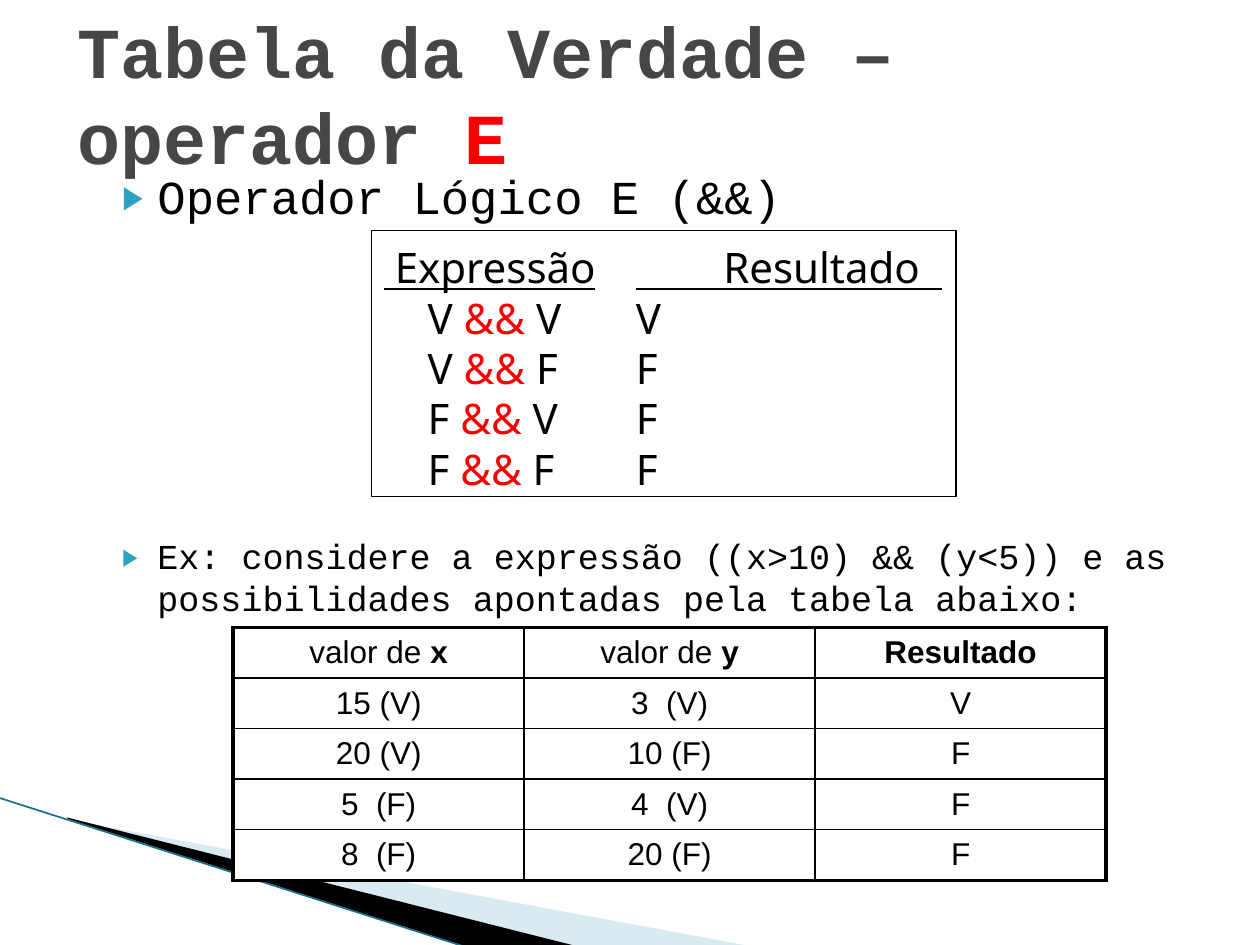
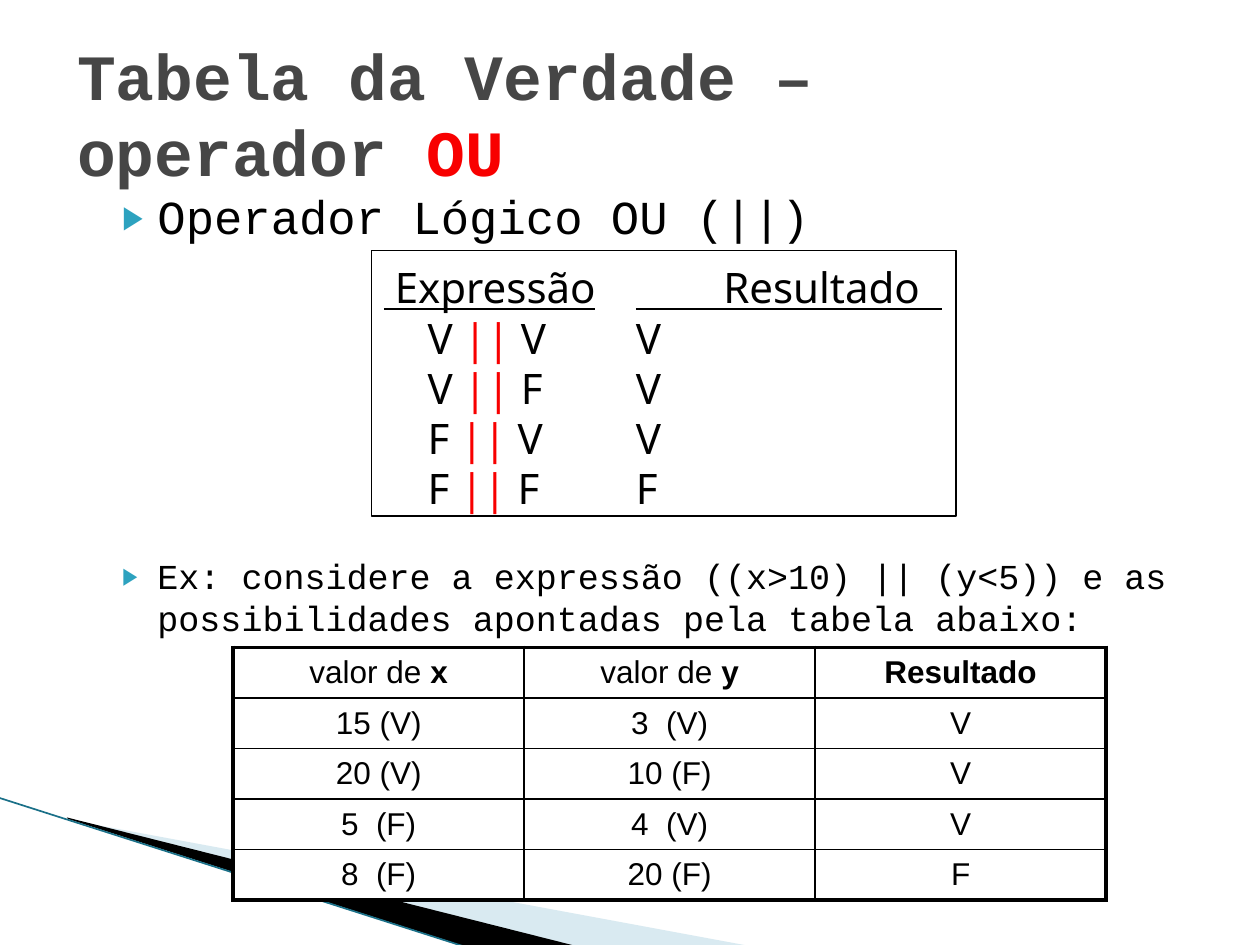
from lxml import etree
from pptx import Presentation
from pptx.dml.color import RGBColor
from pptx.enum import shapes, text
from pptx.oxml import ns
from pptx.util import Cm, Pt

BLACK = RGBColor(0x00, 0x00, 0x00)
WHITE = RGBColor(0xFF, 0xFF, 0xFF)
RED = RGBColor(0xF8, 0x00, 0x00)
TITLE_GREY = RGBColor(0x46, 0x46, 0x46)
BULLET_BLUE = RGBColor(0x2D, 0xA2, 0xBF)
PALE_BLUE = RGBColor(0xA0, 0xCB, 0xDC)
TEAL = RGBColor(0x1A, 0x70, 0x88)

CODE_FONT = "Courier New"
BOX_FONT = "Noto Sans"
TABLE_FONT = "Arial"
THIN, THICK = Pt(1), Pt(2.25)

# Corner wedges: outline in cm, colour, opacity in thousandths of a percent
WEDGES = [
    ([(1.4, 16.53), (15.11, 19.07), (11.58, 19.07), (1.4, 16.51)], PALE_BLUE, 40000),
    ([(1.35, 16.48), (11.61, 19.07), (9.45, 19.1), (1.37, 16.51)], BLACK, 100000),
]

OPERANDS = [("V", "V"), ("V", "F"), ("F", "V"), ("F", "F")]
EXAMPLES = [("15 (V)", "3  (V)"), ("20 (V)", "10 (F)"),
            ("5  (F)", "4  (V)"), ("8  (F)", "20 (F)")]
HEADINGS = [[("valor de ", False), ("x", True)],
            [("valor de ", False), ("y", True)],
            [("Resultado", True)]]

# Name, symbol, results, title size, title width, downward shift of the content
OPERATORS = [
    ("E", "&&", "VFFF", 41, 23.19, 0),
    ("OU", "||", "VVVF", 36.9, 22.4, 0.4),
]


def add_run(paragraph, words, font, size, color=BLACK, bold=False, underline=False):
    run = paragraph.add_run()
    run.text = words
    run.font.name = font
    run.font.size = Pt(size)
    run.font.color.rgb = color
    run.font.bold = bold
    run.font.underline = underline


def add_xml(parent, tag, **attributes):
    return etree.SubElement(parent, ns.qn(tag), attributes)


presentation = Presentation()
presentation.slide_width = Cm(25.4)
presentation.slide_height = Cm(19.05)

for name, symbol, results, title_size, title_width, shift in OPERATORS:
    slide = presentation.slides.add_slide(presentation.slide_layouts[1])

    # Corner decoration
    for outline, color, opacity in WEDGES:
        points = [(Cm(x), Cm(y)) for x, y in outline]
        builder = slide.shapes.build_freeform(*points[0])
        builder.add_line_segments(points[1:], close=True)
        wedge = builder.convert_to_shape()
        wedge.shadow.inherit = False
        wedge.line.fill.background()
        wedge.fill.solid()
        wedge.fill.fore_color.rgb = color
        color_node = wedge.element.spPr.find(".//" + ns.qn("a:srgbClr"))
        add_xml(color_node, "a:alpha", val=str(opacity))
    edge = slide.shapes.add_connector(
        shapes.MSO_CONNECTOR.STRAIGHT, Cm(-0.03), Cm(16.08), Cm(9.42), Cm(19.1))
    edge.line.color.rgb = TEAL
    edge.line.width = Pt(0.95)
    add_xml(edge.element.spPr, "a:effectLst")

    # Title
    title = slide.shapes.title
    title.left, title.top = Cm(1.3), Cm(0.56 + shift)
    title.width, title.height = Cm(title_width), Cm(2.16)
    frame = title.text_frame
    frame.auto_size = text.MSO_AUTO_SIZE.NONE
    frame.vertical_anchor = text.MSO_ANCHOR.MIDDLE
    frame.margin_top = Cm(0.6)
    frame.margin_right = Cm(0.5)
    paragraph = frame.paragraphs[0]
    paragraph.alignment = text.PP_ALIGN.LEFT
    paragraph.line_spacing = Pt(round(title_size * 1.2))
    add_run(paragraph, "Tabela da Verdade – operador ", CODE_FONT, title_size, TITLE_GREY, True)
    add_run(paragraph, name, CODE_FONT, title_size, RED, True)

    # Bulleted list, with room for the box between its two items
    body = slide.placeholders[1]
    body.left, body.top = Cm(1.9), Cm(3.25 + shift)
    body.width, body.height = Cm(22.81), Cm(12.57)
    frame = body.text_frame
    frame.auto_size = text.MSO_AUTO_SIZE.NONE
    items = [
        (f"Operador Lógico {name} ({symbol})", 27, 4),
        (f"Ex: considere a expressão ((x>10) {symbol} (y<5)) e as "
         "possibilidades apontadas pela tabela abaixo:", 20, 177.5),
    ]
    for index, (words, size, space) in enumerate(items):
        paragraph = frame.paragraphs[0] if index == 0 else frame.add_paragraph()
        paragraph.space_before = Pt(space)
        add_run(paragraph, words, CODE_FONT, size)
        properties = paragraph._p.get_or_add_pPr()
        properties.set("marL", str(Cm(1.02)))
        properties.set("indent", str(Cm(-0.71)))
        bullet_color = add_xml(properties, "a:buClr")
        add_xml(bullet_color, "a:srgbClr", val=str(BULLET_BLUE))
        add_xml(properties, "a:buSzPct", val="68000")
        add_xml(properties, "a:buFont", typeface=BOX_FONT)
        add_xml(properties, "a:buChar", char="▶")

    # Truth table box
    box = slide.shapes.add_shape(
        shapes.MSO_SHAPE.RECTANGLE, Cm(7.49), Cm(4.65 + shift), Cm(11.79), Cm(5.36))
    box.shadow.inherit = False
    box.fill.background()
    box.line.color.rgb = BLACK
    box.line.width = THIN
    frame = box.text_frame
    frame.word_wrap = True
    frame.vertical_anchor = text.MSO_ANCHOR.TOP
    frame.margin_top = Cm(0.23)
    add_run(frame.paragraphs[0], " Expressão\t        Resultado  ", BOX_FONT, 24, underline=True)
    for (first, second), result in zip(OPERANDS, results):
        paragraph = frame.add_paragraph()
        add_run(paragraph, f"    {first} ", BOX_FONT, 24)
        add_run(paragraph, symbol, BOX_FONT, 24, RED)
        add_run(paragraph, f" {second}\t   \t{result}", BOX_FONT, 24)
    for paragraph in frame.paragraphs:
        paragraph.alignment = text.PP_ALIGN.LEFT
        paragraph.line_spacing = Pt(28.75)

    # Example table
    rows = HEADINGS + []
    rows = [HEADINGS] + [[[(words, False)] for words in (*example, result)]
                         for example, result in zip(EXAMPLES, results)]
    last_row, last_column = len(rows) - 1, len(HEADINGS) - 1
    table = slide.shapes.add_table(
        len(rows), len(HEADINGS), Cm(4.7), Cm(12.65 + shift), Cm(17.6), Cm(5.1)).table
    table.first_row = False
    table.horz_banding = False
    for row_index, row in enumerate(rows):
        for column_index, runs in enumerate(row):
            cell = table.cell(row_index, column_index)
            cell.vertical_anchor = text.MSO_ANCHOR.MIDDLE
            paragraph = cell.text_frame.paragraphs[0]
            paragraph.alignment = text.PP_ALIGN.CENTER
            for words, bold in runs:
                add_run(paragraph, words, TABLE_FONT, 18, bold=bold)
            # Thick frame outside, thin rules inside
            outer_sides = {"a:lnL": column_index == 0, "a:lnR": column_index == last_column,
                           "a:lnT": row_index == 0, "a:lnB": row_index == last_row}
            for side, is_outer in outer_sides.items():
                border = add_xml(cell._tc.get_or_add_tcPr(), side,
                                 w=str(THICK if is_outer else THIN))
                border_fill = add_xml(border, "a:solidFill")
                add_xml(border_fill, "a:srgbClr", val=str(BLACK))
            cell.fill.solid()
            cell.fill.fore_color.rgb = WHITE

presentation.save("out.pptx")
